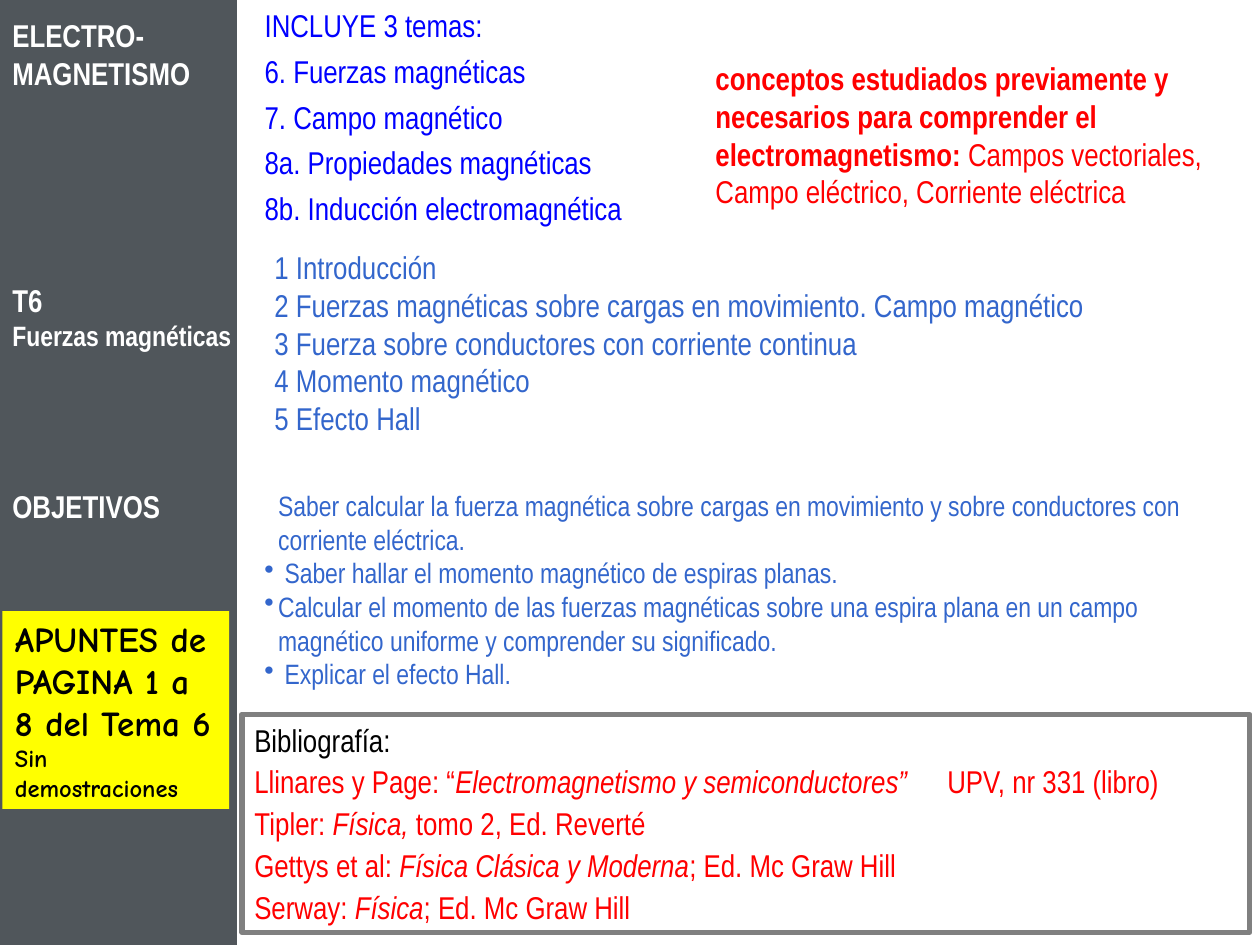
from lxml import etree
from pptx import Presentation
from pptx.dml.color import RGBColor
from pptx.enum.shapes import MSO_SHAPE
from pptx.enum.text import MSO_ANCHOR, MSO_AUTO_SIZE, PP_ALIGN
from pptx.oxml.ns import qn
from pptx.util import Inches, Pt

RECTANGLE = MSO_SHAPE.RECTANGLE
TOP, LEFT, NO_FIT = MSO_ANCHOR.TOP, PP_ALIGN.LEFT, MSO_AUTO_SIZE.NONE
NARROW, COMIC = "Arial Narrow", "Comic Neue"
WHITE, BLACK, RED = "FFFFFF", "000000", "FF0000"
BLUE, STEEL, SLATE, GREY, YELLOW = "0000FF", "3366CC", "50565B", "808080", "FFFF00"
BOLD, ITALIC = {"bold": True}, {"italic": True}

# Content: a paragraph is a list of (text, font changes) runs plus paragraph options
SIDEBAR_LABELS = [
    ([("ELECTRO-", {})], {}),
    ([("MAGNETISMO", {})], {}),
    ([("T6", {})], {"before": 108}),
    ([("Fuerzas magnéticas", {"size": 16})], {}),
    ([("OBJETIVOS", {})], {"before": 77}),
]
TOPICS = ["INCLUYE 3 temas:", "6. Fuerzas magnéticas", "7. Campo magnético",
          "8a. Propiedades magnéticas", "8b. Inducción electromagnética"]
PRIOR_CONCEPTS = [([
    ("conceptos estudiados previamente y necesarios para comprender el "
     "electromagnetismo: ", BOLD),
    ("Campos vectoriales, Campo eléctrico, Corriente eléctrica", {}),
], {})]
SECTIONS = ["1 Introducción",
            "2 Fuerzas magnéticas sobre cargas en movimiento. Campo magnético",
            "3 Fuerza sobre conductores con corriente continua",
            "4 Momento magnético", "5 Efecto Hall"]
MAIN_GOAL = ("Saber calcular la fuerza magnética sobre cargas en movimiento y sobre "
             "conductores con corriente eléctrica.")
OTHER_GOALS = [" Saber hallar el momento magnético de espiras planas.",
               "Calcular el momento de las fuerzas magnéticas sobre una espira plana "
               "en un campo magnético uniforme y comprender su significado.",
               " Explicar el efecto Hall."]
BIBLIOGRAPHY_HEADING = [([("Bibliografía:", {"color": BLACK})], {})]
# Author, title, publisher
BOOKS = [("Llinares y Page: “", "Electromagnetismo y semiconductores”",
          "\tUPV, nr 331 (libro)"),
         ("Tipler: ", "Física,", " tomo 2, Ed. Reverté"),
         ("Gettys et al: ", "Física Clásica y Moderna", "; Ed. Mc Graw Hill"),
         ("Serway: ", "Física", "; Ed. Mc Graw Hill")]
NOTES_PAGES = [([("APUNTES de PAGINA 1 a 8 del Tema 6", {})], {}),
               ([("Sin demostraciones", {"size": 14})], {})]


def rgb(hex_color):
    return RGBColor.from_string(hex_color)


def plain(lines, **options):
    return [([(line, {})], options) for line in lines]


def set_margins(paragraph, margin=0, indent=0, bullet=None, tab=None):
    properties = paragraph._p.get_or_add_pPr()
    properties.set("marL", str(Inches(margin)))
    properties.set("indent", str(Inches(indent)))
    if bullet:
        etree.SubElement(properties, qn("a:buChar"), char=bullet)
    else:
        etree.SubElement(properties, qn("a:buNone"))
    if tab:
        tabs = etree.SubElement(properties, qn("a:tabLst"))
        etree.SubElement(tabs, qn("a:tab"), pos=str(Inches(tab)), algn="l")


def write(shape, paragraphs, color, size=18, name=NARROW, bold=False):
    frame = shape.text_frame
    frame_format = {"word_wrap": True, "auto_size": NO_FIT, "vertical_anchor": TOP,
                    "margin_left": Inches(0.1), "margin_right": Inches(0.1),
                    "margin_top": Inches(0.05), "margin_bottom": Inches(0.05)}
    for attribute, value in frame_format.items():
        setattr(frame, attribute, value)
    for number, (runs, options) in enumerate(paragraphs):
        paragraph = frame.add_paragraph() if number else frame.paragraphs[0]
        layout = dict(options)
        before = layout.pop("before", 0)
        spacing = layout.pop("spacing", 1.0)
        set_margins(paragraph, **layout)
        paragraph.alignment = LEFT
        paragraph.space_before = Pt(before if number else 0)
        paragraph.line_spacing = spacing
        for text, changes in runs:
            run = paragraph.add_run()
            run.text = text
            font_format = {"name": name, "size": size, "bold": bold,
                           "italic": False, "color": color, **changes}
            run.font.color.rgb = rgb(font_format.pop("color"))
            font_format["size"] = Pt(font_format["size"])
            for attribute, value in font_format.items():
                setattr(run.font, attribute, value)


def add_panel(slide, box, fill=None, line=None):
    panel = slide.shapes.add_shape(RECTANGLE, *map(Inches, box))
    panel.shadow.inherit = False
    if fill:
        panel.fill.solid()
        panel.fill.fore_color.rgb = rgb(fill)
    else:
        panel.fill.background()
    if line:
        panel.line.color.rgb = rgb(line)
        panel.line.width = Pt(3)
    else:
        panel.line.fill.background()
    return panel


def add_text(slide, box, paragraphs, color, **font):
    write(slide.shapes.add_textbox(*map(Inches, box)), paragraphs, color, **font)


def main():
    presentation = Presentation()
    presentation.slide_width, presentation.slide_height = Inches(10), Inches(7.5)
    slide = presentation.slides.add_slide(presentation.slide_layouts[1])
    title, topics = slide.placeholders
    title.element.getparent().remove(title.element)

    # Sidebar band
    add_panel(slide, (0, 0, 1.88, 7.5), fill=SLATE)

    # Topics of the block and concepts needed beforehand
    for attribute, value in zip(("left", "top", "width", "height"), (2, 0, 3.42, 1.86)):
        setattr(topics, attribute, Inches(value))
    write(topics, plain(TOPICS, margin=0.54, indent=-0.54, before=4.5), BLUE)
    add_text(slide, (5.58, 0.42, 4.08, 1.3), PRIOR_CONCEPTS, RED)

    # Bibliography frame
    references = [
        ([(author, {}), (book, ITALIC), (publisher, {})],
         {"before": 4.5, "spacing": 0.9, "tab": 5.36})
        for author, book, publisher in BOOKS]
    write(add_panel(slide, (1.92, 5.67, 8, 1.73), line=GREY),
          BIBLIOGRAPHY_HEADING + references, RED)

    # Sidebar labels, sections and goals
    add_text(slide, (0, 0.08, 2, 4.14), SIDEBAR_LABELS, WHITE, bold=True)
    add_text(slide, (2.08, 1.92, 7.17, 1.6),
             plain(SECTIONS, margin=0.38, indent=-0.38), STEEL)
    goals = plain([MAIN_GOAL], margin=0.11) + plain(
        OTHER_GOALS, margin=0.11, indent=-0.11, bullet="•")
    add_text(slide, (2, 3.83, 7.5, 1.7), goals, STEEL, size=16)

    # Pages of the notes
    write(add_panel(slide, (0.02, 4.85, 1.8, 1.57), fill=YELLOW), NOTES_PAGES,
          BLACK, size=20, name=COMIC, bold=True)

    presentation.save("out.pptx")


if __name__ == "__main__":
    main()
